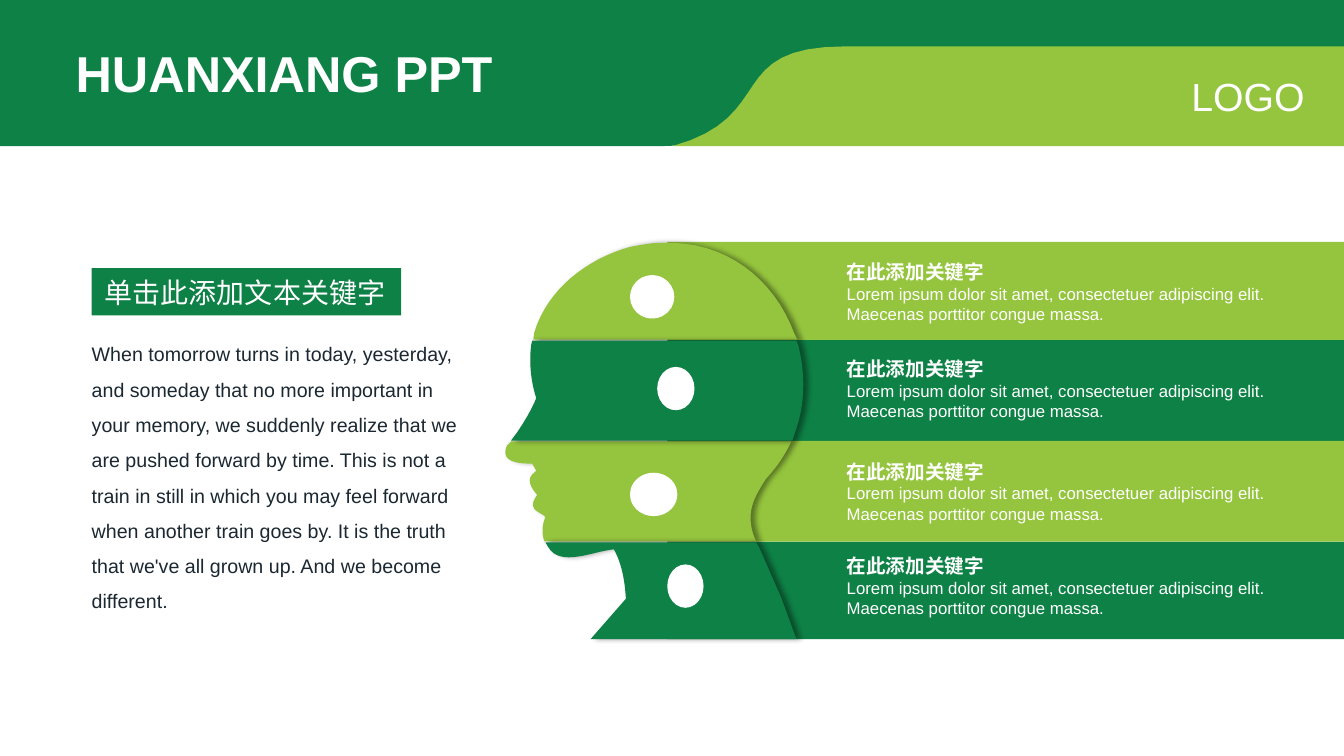
from dataclasses import dataclass

from lxml import etree
from pptx import Presentation
from pptx.dml.color import RGBColor
from pptx.enum.shapes import MSO_SHAPE
from pptx.enum.text import MSO_ANCHOR, MSO_AUTO_SIZE, PP_ALIGN
from pptx.oxml.ns import qn
from pptx.util import Emu, Inches, Pt

RECTANGLE, OVAL = MSO_SHAPE.RECTANGLE, MSO_SHAPE.OVAL
LEFT, RIGHT = PP_ALIGN.LEFT, PP_ALIGN.RIGHT
TOP = MSO_ANCHOR.TOP
FIXED_SIZE = MSO_AUTO_SIZE.NONE
TITLE_AND_CONTENT = 1

# The grid has square cells of a tenth of an inch.
CELL = Inches(0.1)
COLUMNS, ROWS = 133.33, 75
CURVE_STEPS = 16


@dataclass(frozen=True)
class Theme:
    font: str = "Arial"
    dark: str = "0E8146"
    light: str = "95C53E"
    white: str = "FFFFFF"
    ink: str = "1B2831"
    shadow: str = "000000"
    title: int = 36
    logo: int = 28
    tag: int = 20
    body: int = 14
    detail: int = 12


THEME = Theme()
NARROW_INSETS = (1, 0.5)
WIDE_INSETS = (1.3, 0.7)


@dataclass(frozen=True)
class Band:
    """A stripe with its slice of the head; a six-number step is a curve."""
    color: str
    text_top: float
    marker: tuple
    outline: list


BANDS = [
    Band(THEME.light, 25.1, (62.5, 27.3, 4.4, 4.3), [
        (65.6, 24.1), (72, 23.8, 76.8, 27.7, 78.8, 33.1), (79.1, 33.7),
        (52.9, 33.7), (53, 33), (54.3, 28.7, 58.2, 25.7, 62.5, 24.5),
        (63.6, 24.3, 64.6, 24.1, 65.6, 24.1)]),
    Band(THEME.dark, 34.7, (65.2, 36.4, 3.7, 4.3), [
        (52.8, 33.8), (79, 33.8), (79.2, 34.3),
        (79.7, 36.3, 80.1, 39.5, 78.9, 42.8), (78.6, 43.7), (50.7, 43.7),
        (51.3, 42.9), (52.1, 41.7, 52.7, 40.7, 53.2, 39.5),
        (52.6, 37.6, 52.5, 35.8, 52.7, 34.2)]),
    Band(THEME.light, 44.9, (62.5, 46.9, 4.7, 4.3), [
        (50.7, 43.8), (78.5, 43.8), (77.9, 45.1, 77.1, 46.3, 76, 47.5),
        (74.7, 49.5, 74, 50.9, 74.8, 53.2), (75, 53.7), (54.1, 53.7),
        (54, 53.7), (53.8, 53.1, 53.7, 52.3, 54.1, 51.3),
        (53.8, 50.8, 52.1, 50.7, 53.3, 49.1),
        (51.8, 47.4, 53, 47, 53.2, 46.7), (52.8, 46),
        (50.8, 46, 49.7, 45.6, 50.3, 44.2)]),
    Band(THEME.dark, 54.3, (66.2, 56, 3.6, 4.3), [
        (54.1, 53.8), (75, 53.8), (75.3, 54.3), (77.5, 59.3), (79, 63.4),
        (58.6, 63.4), (62.1, 59.4), (62, 58.3, 61.9, 56.3, 60.9, 54.5),
        (58.8, 54.7, 55.6, 56.3, 54.4, 54.3)]),
]
BAND_EDGES = [24, 33.75, 43.75, 53.75, 63.4]
BAND_LEFT = 66.2
SLICE_ORDER = (0, 2, 1, 3)

HEADER_DARK = [(0, 0), (COLUMNS, 0), (COLUMNS, 5), (82.7, 5), (80.9, 5.6),
               (72.7, 8.6, 77, 14.5, 65.5, 14.5), (0, 14.5)]
HEADER_LIGHT = [(83.9, 4.6), (COLUMNS, 4.6), (COLUMNS, 14.5), (66.7, 14.5),
                (77.3, 11.6, 71.7, 4.6, 83.9, 4.6)]

KEYWORD = "在此添加关键字"
DETAIL = ("Lorem ipsum dolor sit amet, consectetuer adipiscing elit. "
          "Maecenas porttitor congue massa.")
STORY = ("When tomorrow turns in today, yesterday, and someday that no more "
         "important in your memory, we suddenly realize that we are pushed "
         "forward by time. This is not a train in still in which you may feel "
         "forward when another train goes by. It is the truth that we've all "
         "grown up. And we become different.")


def cells(*values):
    return [Emu(round(value * CELL)) for value in values]


def flatten(outline):
    """Return the outline as points, with each cubic curve sampled."""
    points = []
    for step in outline:
        if len(step) == 2:
            points.append(step)
            continue
        corners = (points[-1], step[:2], step[2:4], step[4:])
        for index in range(1, CURVE_STEPS + 1):
            t = index / CURVE_STEPS
            weights = ((1 - t) ** 3, 3 * t * (1 - t) ** 2,
                       3 * t * t * (1 - t), t ** 3)
            points.append(tuple(
                sum(weight * corner[axis]
                    for weight, corner in zip(weights, corners))
                for axis in (0, 1)))
    return [cells(*point) for point in points]


class SlideBuilder:
    def __init__(self, theme, page):
        self.theme = theme
        self.page = page

    def paint(self, shape, color):
        shape.shadow.inherit = False
        shape.fill.solid()
        shape.fill.fore_color.rgb = RGBColor.from_string(color)
        shape.line.fill.background()
        return shape

    def block(self, kind, place, color):
        return self.paint(
            self.page.shapes.add_shape(kind, *cells(*place)), color)

    def outline(self, steps, color):
        start, *others = flatten(steps)
        builder = self.page.shapes.build_freeform(*start)
        builder.add_line_segments(others, close=True)
        return self.paint(builder.convert_to_shape(), color)

    def cast_shadow(self, shape):
        effects = shape.element.spPr.find(qn("a:effectLst"))
        shadow = etree.SubElement(
            effects, qn("a:outerShdw"), blurRad=str(Pt(4)),
            dist=str(Pt(3)), dir="0", algn="l", rotWithShape="0")
        color = etree.SubElement(
            shadow, qn("a:srgbClr"), val=self.theme.shadow)
        etree.SubElement(color, qn("a:alpha"), val="40000")

    def fill_text(self, box, lines, color, insets=NARROW_INSETS, wrap=True,
                  align=LEFT, spacing=1.0):
        """Fill a box with lines given as (text, size, bold)."""
        frame = box.text_frame
        frame.auto_size = FIXED_SIZE
        frame.word_wrap = wrap
        frame.vertical_anchor = TOP
        frame.margin_left, frame.margin_top = cells(*insets)
        frame.margin_right, frame.margin_bottom = cells(*insets)
        frame.text = "\n".join(text for text, _, _ in lines)
        for para, (_, size, bold) in zip(frame.paragraphs, lines):
            para.alignment = align
            para.line_spacing = spacing
            para.space_before = Pt(0)
            for span in para.runs:
                span.font.name = self.theme.font
                span.font.size = Pt(size)
                span.font.bold = bold
                span.font.color.rgb = RGBColor.from_string(color)

    def text(self, place, lines, color, **style):
        box = self.page.shapes.add_textbox(*cells(*place))
        self.fill_text(box, lines, color, **style)

    def placeholder(self, box, place, lines, color, **style):
        """Move a template placeholder to the front and fill it, unbulleted."""
        box.left, box.top, box.width, box.height = cells(*place)
        box.element.getparent().append(box.element)
        self.fill_text(box, lines, color, **style)
        for para in box.text_frame.paragraphs:
            properties = para._p.get_or_add_pPr()
            properties.set("marL", "0")
            properties.set("indent", "0")
            etree.SubElement(properties, qn("a:buNone"))


def main():
    deck = Presentation()
    deck.slide_width, deck.slide_height = cells(COLUMNS, ROWS)
    page = deck.slides.add_slide(deck.slide_layouts[TITLE_AND_CONTENT])
    builder = SlideBuilder(THEME, page)
    title, story = page.placeholders

    for band, top, bottom in zip(BANDS, BAND_EDGES, BAND_EDGES[1:]):
        place = (BAND_LEFT, top, COLUMNS - BAND_LEFT, bottom - top)
        builder.block(RECTANGLE, place, band.color)

    builder.outline(HEADER_DARK, THEME.dark)
    builder.outline(HEADER_LIGHT, THEME.light)
    builder.placeholder(title, (6.5, 3.7, 43.8, 7.1),
                        [("HUANXIANG PPT", THEME.title, True)],
                        THEME.white, wrap=False)
    builder.text((117, 6.7, 13.4, 5.7), [("LOGO", THEME.logo, False)],
                 THEME.white, wrap=False, align=RIGHT)

    for index in SLICE_ORDER:
        band = BANDS[index]
        builder.cast_shadow(builder.outline(band.outline, band.color))
    for band in BANDS:
        builder.block(OVAL, band.marker, THEME.white)
        builder.text((82.7, band.text_top, 44.6, 7.7),
                     [(KEYWORD, THEME.body, True),
                      (DETAIL, THEME.detail, False)],
                     THEME.white, insets=WIDE_INSETS)

    tag = builder.block(RECTANGLE, (9.1, 26.6, 30.7, 4.7), THEME.dark)
    builder.fill_text(tag, [("单击此添加文本关键字", THEME.tag, False)],
                      THEME.white, insets=WIDE_INSETS, wrap=False)
    builder.placeholder(story, (8.1, 32.3, 39.8, 29.3),
                        [(STORY, THEME.body, False)], THEME.ink, spacing=1.5)
    deck.save("out.pptx")


if __name__ == "__main__":
    main()
